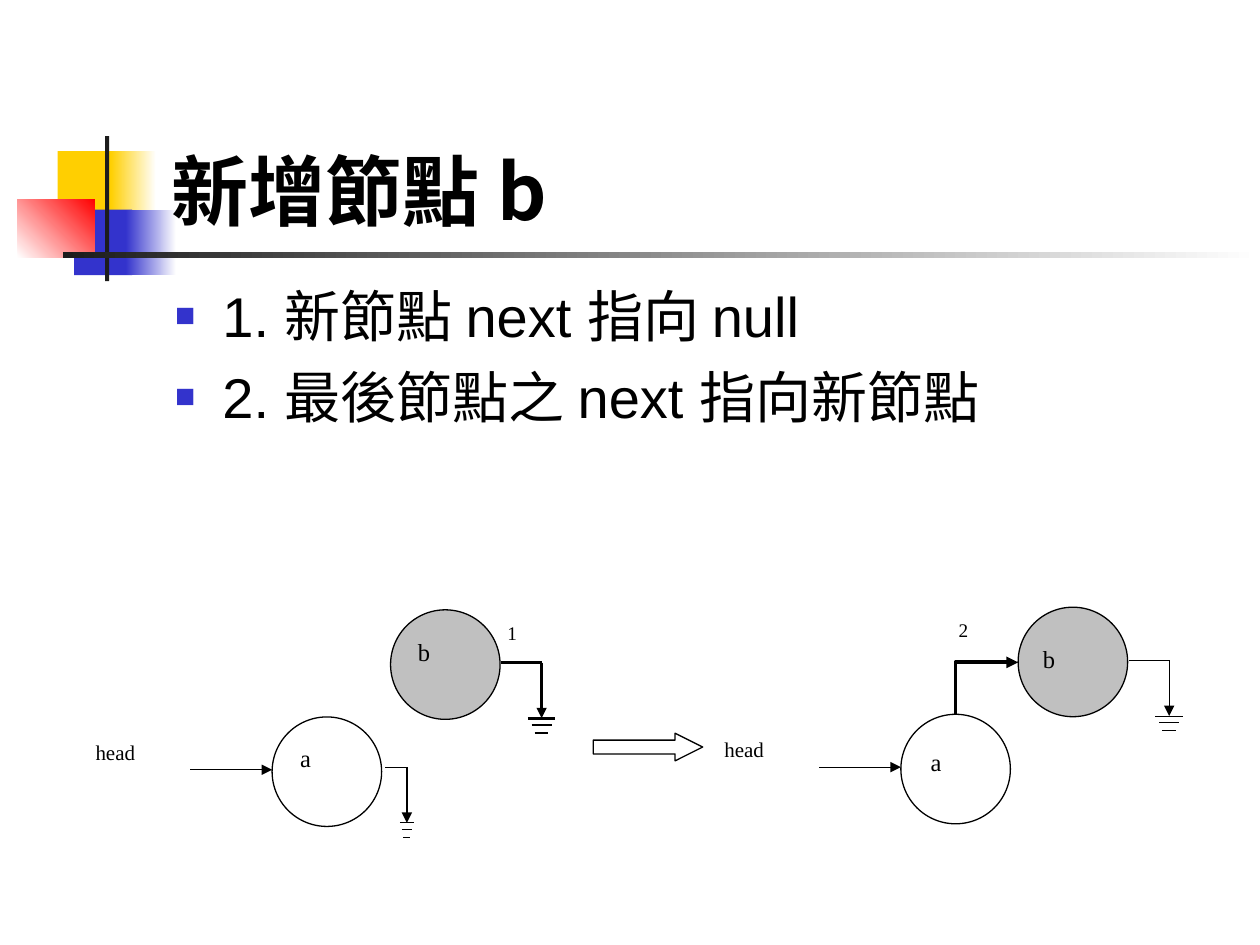
from dataclasses import dataclass

from lxml import etree
from pptx import Presentation
from pptx.dml.color import RGBColor
from pptx.enum import shapes, text
from pptx.oxml import ns
from pptx.util import Pt


@dataclass(frozen=True)
class Theme:
    """Colours, fonts and type sizes of the slide."""
    ink: str = "000000"
    paper: str = "FFFFFF"
    new_node: str = "C0C0C0"
    yellow: str = "FFCF01"
    blue: str = "3333CC"
    red: str = "FF0000"
    rule: str = "1C1C1C"
    heading_font: str = "Noto Sans CJK SC"
    body_font: str = "Arial"
    label_font: str = "Times New Roman"
    title: int = 44
    body: int = 32
    node: int = 14
    head: int = 12
    step: int = 11


THEME = Theme()
NODE = 62.6
STEP_TOP = 2.9


def rgb(color):
    """Turn a hex string into a colour."""
    return RGBColor.from_string(color)


def add_xml(parent, tag, **attributes):
    """Append a DrawingML element to a parent."""
    return etree.SubElement(parent, ns.qn(f"a:{tag}"), attributes)


def write(frame, *lines, size, font, bold=False, align=None, before=0,
          anchor=text.MSO_ANCHOR.TOP):
    """Fill a text frame with formatted paragraphs and return them."""
    frame.word_wrap = True
    frame.auto_size = text.MSO_AUTO_SIZE.NONE
    frame.vertical_anchor = anchor
    for index, line in enumerate(lines):
        paragraph = frame.add_paragraph() if index else frame.paragraphs[0]
        paragraph.alignment = align
        paragraph.space_before = Pt(before)
        run = paragraph.add_run()
        run.text = line
        run.font.size, run.font.name, run.font.bold = Pt(size), font, bold
        run.font.color.rgb = rgb(THEME.ink)
        add_xml(run.font._element, "ea", typeface=THEME.heading_font)
    return frame.paragraphs


def place(shape, left, top, width, height):
    """Move and size a shape in points."""
    shape.left, shape.top = Pt(left), Pt(top)
    shape.width, shape.height = Pt(width), Pt(height)


def add_block(parent, kind, left, top, width, height, fill, end=None, angle=0, outline=None):
    """Add a preset shape with a solid or two-colour fill."""
    block = parent.shapes.add_shape(kind, Pt(left), Pt(top), Pt(width), Pt(height))
    block.shadow.inherit = False
    if end:
        block.fill.gradient()
        block.fill.gradient_angle = angle
        for stop, color in zip(block.fill.gradient_stops, (fill, end)):
            stop.color.rgb = rgb(color)
    else:
        block.fill.solid()
        block.fill.fore_color.rgb = rgb(fill)
    if outline:
        block.line.color.rgb = rgb(THEME.ink)
        block.line.width = Pt(outline)
    else:
        block.line.fill.background()
    return block


def ink_line(line, weight, arrow=False):
    """Format a stroke, with an arrowhead at its end if asked."""
    line.color.rgb = rgb(THEME.ink)
    line.width = Pt(weight)
    if arrow:
        add_xml(line._get_or_add_ln(), "tailEnd", type="triangle")


def add_line(parent, x1, y1, x2, y2, weight, arrow=False):
    """Add a straight line or arrow."""
    stroke = parent.shapes.add_connector(
        shapes.MSO_CONNECTOR.STRAIGHT, Pt(x1), Pt(y1), Pt(x2), Pt(y2))
    ink_line(stroke.line, weight, arrow)
    add_xml(stroke._element.spPr, "effectLst")


def add_label(parent, caption, left, top, width, height, size, align=None):
    """Add a diagram label."""
    label = parent.shapes.add_textbox(Pt(left), Pt(top), Pt(width), Pt(height))
    write(label.text_frame, caption, size=size, font=THEME.label_font, align=align)


def add_node(parent, name, left, top, fill, label_left, label_top):
    """Add a list node with its name offset inside the circle."""
    add_block(parent, shapes.MSO_SHAPE.OVAL, left, top, NODE, NODE, fill, outline=0.75)
    add_label(parent, name, left + label_left, top + label_top, 36.7, 41.8,
              THEME.node, text.PP_ALIGN.CENTER)


def add_null(parent, left, top, width, drop, half, weight):
    """Add a next pointer that ends in a null ground symbol."""
    x, ground = left + width, top + drop
    add_line(parent, left, top, x, top, weight)
    add_line(parent, x, top, x, ground, weight, arrow=True)
    for gap, share in ((0, 1), (3.8, 0.73), (8.4, 0.5)):
        add_line(parent, x - half * share, ground + gap, x + half * share, ground + gap, weight)


def add_list_start(parent, left, top, a_left, a_top):
    """Add the head pointer and node a, and return nothing."""
    add_label(parent, "head", left, top + 70.6, 77.8, 46.8, THEME.head)
    add_line(parent, left + 61.2, top + 91.4, left + 108, top + 91.4, 0.5, arrow=True)
    add_node(parent, "a", left + 108, top + 61.2, THEME.paper, a_left, a_top)


def before_linking(slide, left, top):
    """Draw step 1, where the next of node b points to null."""
    diagram = slide.shapes.add_group_shape()
    add_list_start(diagram, left, top, 0.7, 11.5)
    add_null(diagram, left + 172.8, top + 90, 12.2, 31.7, 4, 0.75)
    add_node(diagram, "b", left + 175.7, top, THEME.new_node, 0.7, 12.2)
    add_null(diagram, left + 239, top + 30.2, 23, 31.7, 7.9, 1.5)
    add_label(diagram, "1", left + 235.4, top + STEP_TOP, 31, 31, THEME.step)


def after_linking(slide, left, top):
    """Draw step 2, where the next of node a points to node b."""
    diagram = slide.shapes.add_group_shape()
    add_list_start(diagram, left, top, 1.8, 15.1)
    add_node(diagram, "b", left + 175, top, THEME.new_node, -0.7, 17.3)
    add_null(diagram, left + 238.3, top + 30.2, 23, 32, 7.9, 0.5)
    add_label(diagram, "2", left + 133.9, top + STEP_TOP, 31, 31, THEME.step)
    corner = left + 139.2, top + 31.5
    route = diagram.shapes.build_freeform(Pt(corner[0]), Pt(top + 61.2))
    route.add_line_segments(
        [(Pt(corner[0]), Pt(corner[1])), (Pt(left + 175), Pt(corner[1]))], close=False)
    link = route.convert_to_shape()
    link.shadow.inherit = False
    link.fill.background()
    ink_line(link.line, 2.25, arrow=True)


def ornament(slide, left, top):
    """Draw the coloured squares and the rules beside the title."""
    for x, y, width, height, fill, end, angle in (
            (23, 8.6, 34.6, 37.4, THEME.yellow, None, 0),
            (53.3, 8.6, 25.9, 37.4, THEME.yellow, THEME.paper, 0),
            (32.4, 42, 33.1, 37.4, THEME.blue, None, 0),
            (62, 42, 28.8, 37.4, THEME.blue, THEME.paper, 0),
            (0, 36, 44.3, 33.5, THEME.paper, THEME.red, 45),
            (50, 0, 2.4, 82.8, THEME.rule, None, 0),
            (26, 66.2, 684, 3.6, THEME.rule, THEME.paper, 0)):
        add_block(slide, shapes.MSO_SHAPE.RECTANGLE, left + x, top + y,
                  width, height, fill, end, angle)


def heading(slide, left, top, width, height):
    """Place the title in front of the ornament."""
    title = slide.shapes.title
    place(title, left, top, width, height)
    write(title.text_frame, "新增節點 b", size=THEME.title, font=THEME.heading_font,
          bold=True, align=text.PP_ALIGN.LEFT, anchor=text.MSO_ANCHOR.BOTTOM)
    slide.shapes._spTree.append(title._element)


def steps(slide, left, top, width, height):
    """Place the bulleted steps."""
    body = slide.placeholders[1]
    place(body, left, top, width, height)
    for step in write(body.text_frame, "1. 新節點 next 指向 null",
                      "2. 最後節點之 next 指向新節點",
                      size=THEME.body, font=THEME.body_font, before=8):
        layout = step._p.get_or_add_pPr()
        layout.set("marL", str(Pt(27)))
        layout.set("indent", str(Pt(-27)))
        add_xml(add_xml(layout, "buClr"), "srgbClr", val=THEME.blue)
        add_xml(layout, "buSzPct", val="60000")
        add_xml(layout, "buFont", typeface=THEME.body_font)
        add_xml(layout, "buChar", char="■")
    slide.shapes._spTree.append(body._element)


def main():
    """Build and save the slide."""
    deck = Presentation()
    deck.slide_width, deck.slide_height = Pt(720), Pt(540)
    slide = deck.slides.add_slide(deck.slide_layouts[1])
    ornament(slide, 10, 77.8)
    heading(slide, 90.7, 48.2, 613.4, 90)
    before_linking(slide, 47.5, 348.5)
    transition = add_block(slide, shapes.MSO_SHAPE.RIGHT_ARROW, 339, 419, 62.6, 15.8,
                           THEME.paper, outline=0.75)
    transition.adjustments[1] = 1
    after_linking(slide, 406.8, 347)
    steps(slide, 92.9, 157, 612, 130.3)
    deck.save("out.pptx")


if __name__ == "__main__":
    main()
